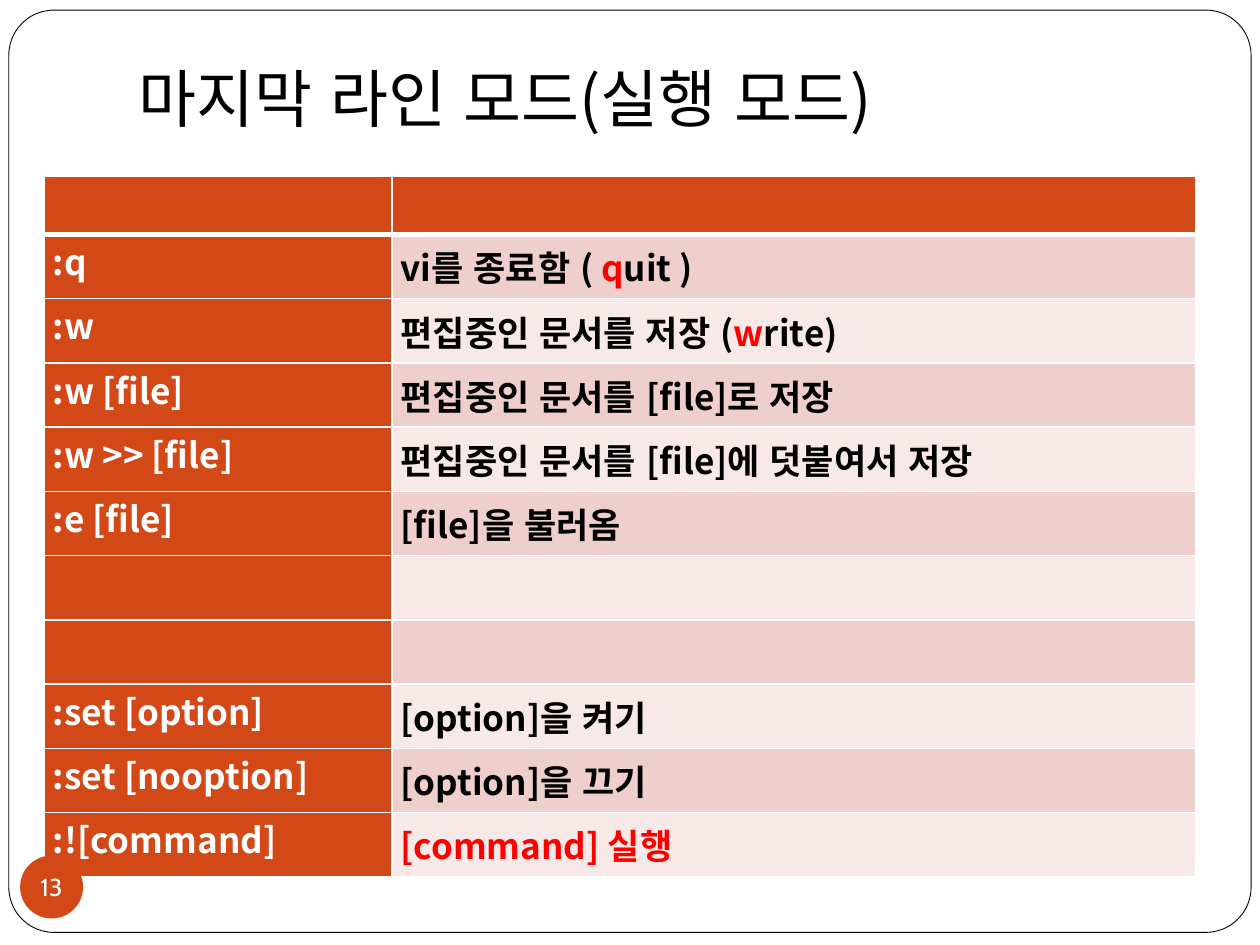
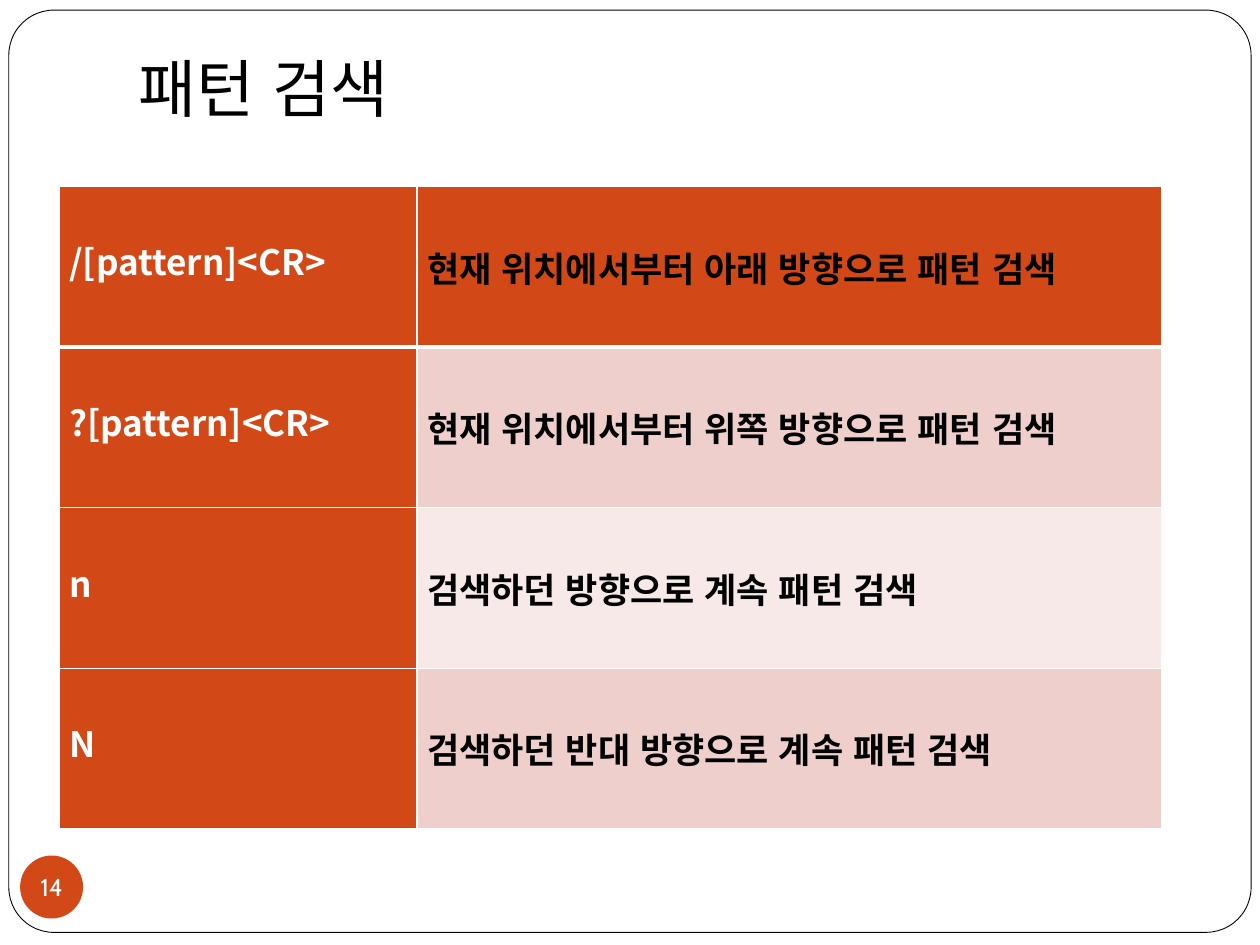
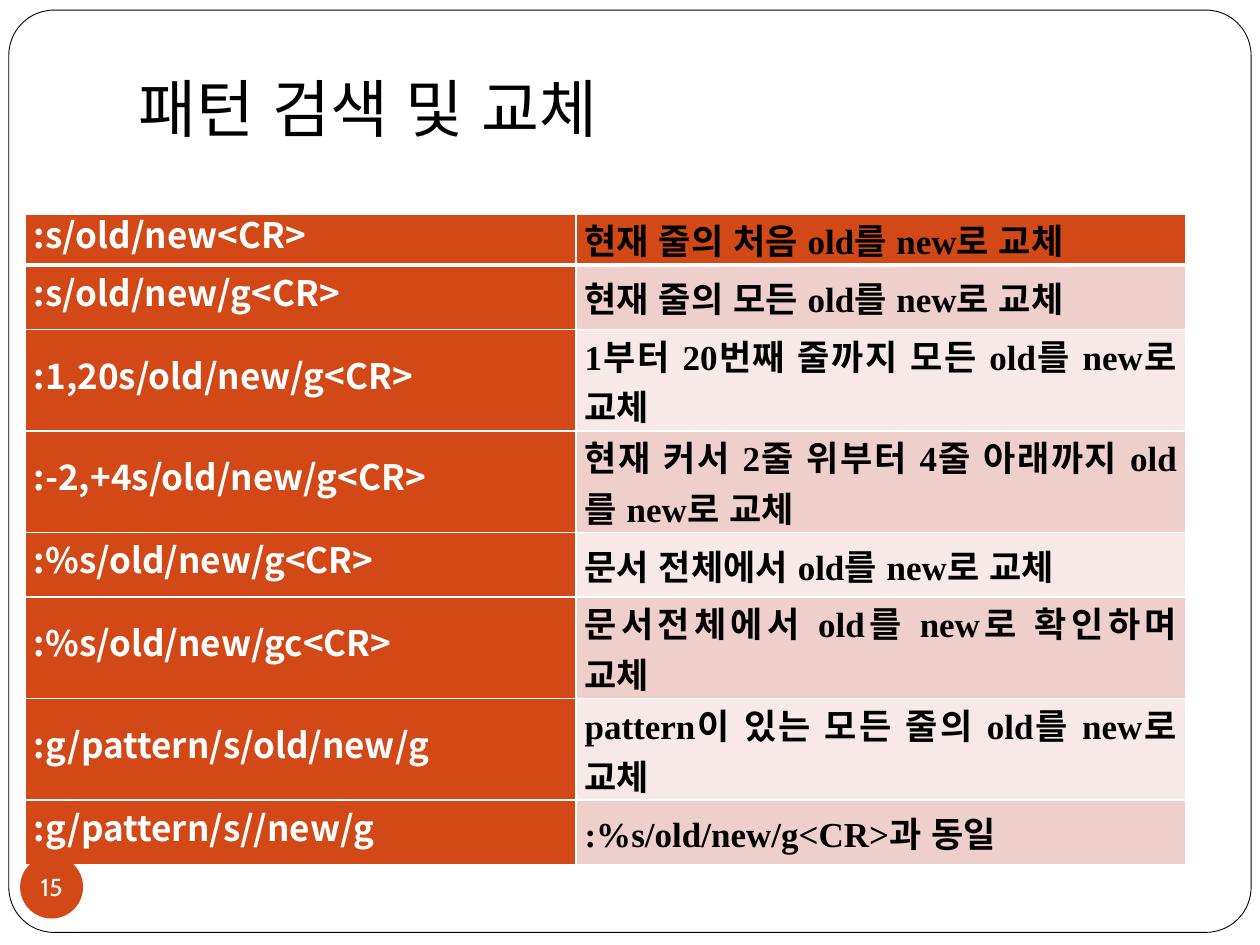
from dataclasses import dataclass
from itertools import accumulate, cycle

from lxml.etree import SubElement
from pptx import Presentation
from pptx.dml.color import RGBColor
from pptx.enum.lang import MSO_LANGUAGE_ID as Language
from pptx.enum.shapes import MSO_SHAPE as Preset
from pptx.enum.text import MSO_ANCHOR as Anchor, MSO_AUTO_SIZE as AutoSize, PP_ALIGN as Align
from pptx.oxml.ns import qn
from pptx.util import Emu, Inches, Pt

# Slide grid: 100 columns by 75 rows of equal square units
WIDTH, HEIGHT = Inches(10), Inches(7.5)
COLUMNS = 100
FIRST_NUMBER = 13


@dataclass(frozen=True)
class Theme:
    accent: str = "D34817"
    band_dark: str = "EFCFCC"
    band_light: str = "F7E9E8"
    ink: str = "000000"
    paper: str = "FFFFFF"
    highlight: str = "FF0000"
    sans: str = "Noto Sans CJK KR"
    serif: str = "Times New Roman"
    badge_font: str = "Cabin"
    title_size: int = 36
    cell_size: int = 20
    badge_size: int = 14
    command_leading: int = 22
    rule: int = 1
    header_rule: int = 3


THEME = Theme()


@dataclass(frozen=True)
class CommandSlide:
    """Lengths are grid units; text between bars in a description is highlighted."""
    title: str
    title_height: float
    left: float
    top: float
    columns: tuple[float, float]
    heights: tuple[float, ...]
    commands: tuple[tuple[str, str], ...]
    description_font: str = THEME.sans
    padding: float = 0.7


ROW, TALL_ROW = 5.1, 7.8

SLIDES = (
    CommandSlide(
        "마지막 라인 모드(실행 모드)", 8.7, 3.5, 14, (27.6, 63.8), (4.6,) + (ROW,) * 10,
        (
            ("", ""),
            (":q", "vi를 종료함 ( |q|uit )"),
            (":w", "편집중인 문서를 저장 (|w|rite)"),
            (":w [file]", "편집중인 문서를 [file]로 저장"),
            (":w >> [file]", "편집중인 문서를 [file]에 덧붙여서 저장"),
            (":e [file]", "[file]을 불러옴"),
            ("", ""),
            ("", ""),
            (":set [option]", "[option]을 켜기"),
            (":set [nooption]", "[option]을 끄기"),
            (":![command]", "|[command] 실행|"),
        ),
    ),
    CommandSlide(
        "패턴 검색", 7.9, 4.7, 14.8, (28.4, 59.1), (12.75,) * 4,
        (
            ("/[pattern]<CR>", "현재 위치에서부터 아래 방향으로 패턴 검색"),
            ("?[pattern]<CR>", "현재 위치에서부터 위쪽 방향으로 패턴 검색"),
            ("n", "검색하던 방향으로 계속 패턴 검색"),
            ("N", "검색하던 반대 방향으로 계속 패턴 검색"),
        ),
        padding=0.8,
    ),
    CommandSlide(
        "패턴 검색 및 교체", 9.5, 2, 17, (43.7, 48.4),
        (3.9, ROW, TALL_ROW, TALL_ROW, ROW, TALL_ROW, TALL_ROW, ROW),
        (
            (":s/old/new<CR>", "현재 줄의 처음 old를 new로 교체"),
            (":s/old/new/g<CR>", "현재 줄의 모든 old를 new로 교체"),
            (":1,20s/old/new/g<CR>", "1부터 20번째 줄까지 모든 old를 new로 교체"),
            (":-2,+4s/old/new/g<CR>", "현재 커서 2줄 위부터 4줄 아래까지 old를 new로 교체"),
            (":%s/old/new/g<CR>", "문서 전체에서 old를 new로 교체"),
            (":%s/old/new/gc<CR>", "문서전체에서 old를 new로 확인하며 교체"),
            (":g/pattern/s/old/new/g", "pattern이 있는 모든 줄의 old를 new로 교체"),
            (":g/pattern/s//new/g", ":%s/old/new/g<CR>과 동일"),
        ),
        description_font=THEME.serif,
    ),
)


def grid(units: float) -> Emu:
    return Emu(round(WIDTH * units / COLUMNS))


def assign(target, values: dict) -> None:
    for attribute, value in values.items():
        setattr(target, attribute, value)


def margins(left: float, top: float, right: float, bottom: float) -> dict:
    sides = ("margin_left", "margin_top", "margin_right", "margin_bottom")
    return dict(zip(sides, map(grid, (left, top, right, bottom))))


def paint(part, colour: str) -> None:
    part.fill.solid()
    part.fill.fore_color.rgb = RGBColor.from_string(colour)


def write(paragraph, text: str, size: int, font: str, colour: str, bold: bool = False) -> None:
    run = paragraph.add_run()
    run.text = text
    assign(run.font, {"size": Pt(size), "name": font, "bold": bold,
                      "language_id": Language.KOREAN})
    run.font.color.rgb = RGBColor.from_string(colour)
    SubElement(run.font._element, qn("a:ea"), typeface=THEME.sans)


def draw_shape(slide, preset, box: tuple[float, ...], colour: str):
    shape = slide.shapes.add_shape(preset, *map(grid, box))
    shape.shadow.inherit = False
    paint(shape, colour)
    return shape


def move_frame_to_master(slide, master) -> None:
    """Rounded page frame, shared by every slide through the master."""
    frame = draw_shape(slide, Preset.ROUNDED_RECTANGLE, (0.7, 0.8, 98.6, 73.2), THEME.paper)
    frame.adjustments[0] = 0.049
    frame.line.width = Pt(0.5)
    frame.line.color.rgb = RGBColor.from_string(THEME.ink)
    master.shapes._spTree.insert(2, frame._element)


def draw_title(slide, content: CommandSlide) -> None:
    title = slide.shapes.title
    sides = ("left", "top", "width", "height")
    assign(title, dict(zip(sides, map(grid, (10, 3, 85, content.title_height)))))
    assign(title.text_frame, {"auto_size": AutoSize.NONE, "word_wrap": True,
                              "vertical_anchor": Anchor.BOTTOM, **margins(1, 0.5, 1, 1)})
    paragraph = title.text_frame.paragraphs[0]
    paragraph.alignment = Align.LEFT
    write(paragraph, content.title, THEME.title_size, THEME.sans, THEME.ink)


def draw_badge(slide, number: int) -> None:
    badge = draw_shape(slide, Preset.OVAL, (1.6, 67.9, 5, 5), THEME.accent)
    badge.line.fill.background()
    assign(badge.text_frame, {"word_wrap": False, "vertical_anchor": Anchor.MIDDLE,
                              **margins(0, 0, 0, 0)})
    paragraph = badge.text_frame.paragraphs[0]
    paragraph.alignment = Align.CENTER
    write(paragraph, str(number), THEME.badge_size, THEME.badge_font, THEME.paper)


def format_cell(cell, colour: str, bottom_rule: int, padding: float) -> None:
    properties = cell._tc.get_or_add_tcPr()
    rules = dict.fromkeys(("lnL", "lnR", "lnT"), THEME.rule) | {"lnB": bottom_rule}
    for edge, width in rules.items():
        border = SubElement(properties, qn(f"a:{edge}"), w=str(Pt(width)))
        SubElement(SubElement(border, qn("a:solidFill")), qn("a:srgbClr"), val=THEME.paper)
    paint(cell, colour)
    assign(cell, {"vertical_anchor": Anchor.MIDDLE, **margins(padding, 0, padding, 0)})


def draw_commands(slide, content: CommandSlide) -> None:
    *_, height = accumulate(content.heights)
    box = (content.left, content.top, sum(content.columns), height)
    table = slide.shapes.add_table(len(content.commands), 2, *map(grid, box)).table
    table.first_col = True
    for column, width in zip(table.columns, content.columns):
        column.width = grid(width)

    bands = cycle((THEME.band_dark, THEME.band_light))
    for index, (command, description) in enumerate(content.commands):
        row = table.rows[index]
        row.height = grid(content.heights[index])
        is_header = index == 0
        rule = THEME.header_rule if is_header else THEME.rule
        command_cell, description_cell = row.cells
        format_cell(command_cell, THEME.accent, rule, content.padding)
        format_cell(description_cell, THEME.accent if is_header else next(bands),
                    rule, content.padding)
        if not command:
            continue

        # Command name
        paragraph = command_cell.text_frame.paragraphs[0]
        paragraph.line_spacing = Pt(THEME.command_leading)
        write(paragraph, command, THEME.cell_size, THEME.sans, THEME.paper, bold=True)

        # Description with its highlighted letters
        paragraph = description_cell.text_frame.paragraphs[0]
        paragraph.alignment = Align.JUSTIFY
        for piece, text in enumerate(description.split("|")):
            if text:
                write(paragraph, text, THEME.cell_size, content.description_font,
                      THEME.highlight if piece % 2 else THEME.ink, bold=True)


def main() -> None:
    deck = Presentation()
    assign(deck, {"slide_width": WIDTH, "slide_height": HEIGHT})
    title_only = deck.slide_layouts.get_by_name("Title Only")
    for number, content in enumerate(SLIDES, FIRST_NUMBER):
        slide = deck.slides.add_slide(title_only)
        if number == FIRST_NUMBER:
            move_frame_to_master(slide, deck.slide_master)
        draw_title(slide, content)
        draw_commands(slide, content)
        draw_badge(slide, number)
    deck.save("out.pptx")


if __name__ == "__main__":
    main()
